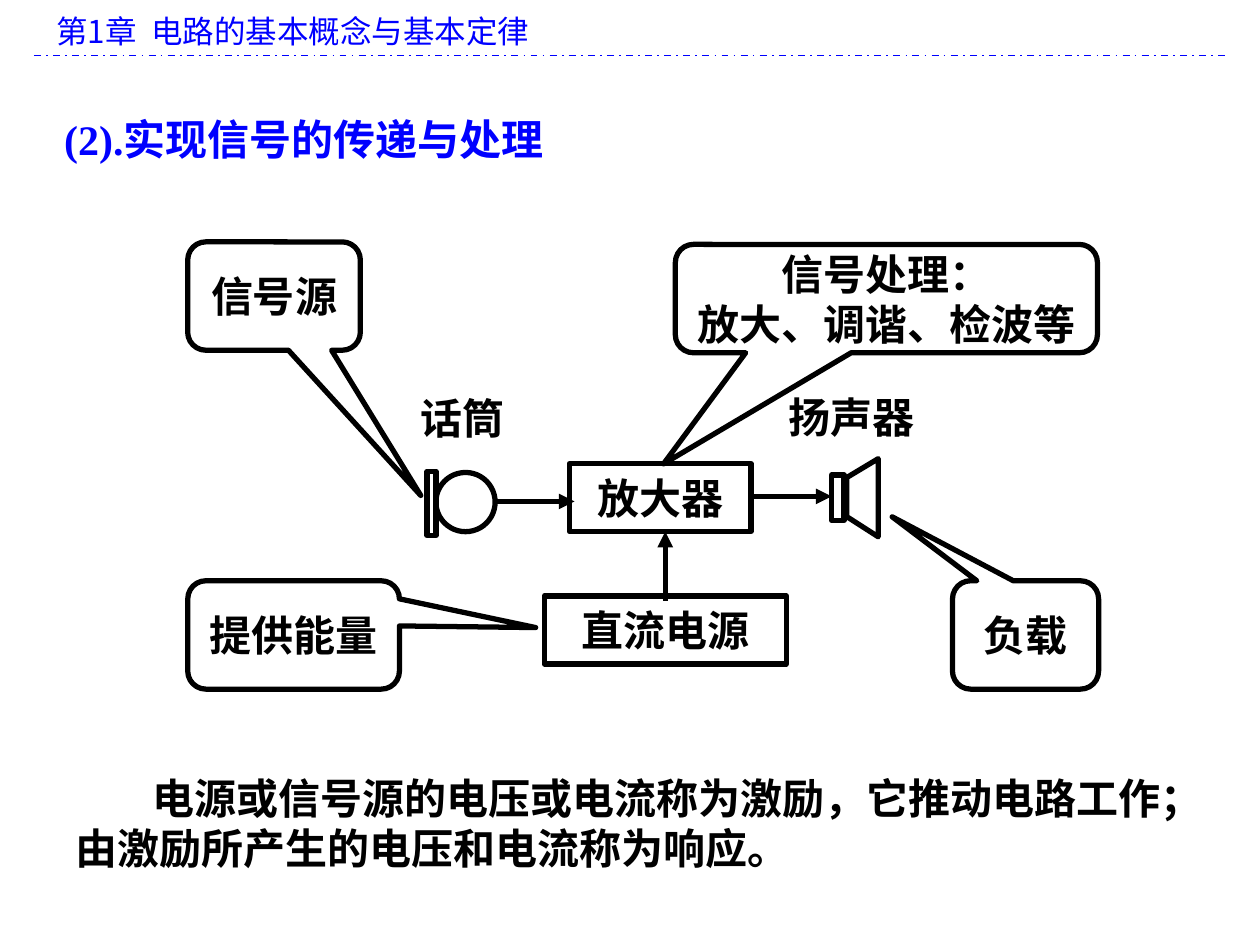
from pptx import Presentation
from pptx.dml.color import RGBColor
from pptx.enum.dml import MSO_LINE
from pptx.enum.shapes import MSO_CONNECTOR, MSO_SHAPE
from pptx.enum.text import MSO_ANCHOR, PP_ALIGN
from pptx.oxml.ns import qn
from pptx.util import Inches, Pt
from lxml.etree import SubElement

# Content
COLORS = {"blue": "0000FF", "black": "000000"}
SERIF, SANS = "Times New Roman", "Noto Sans CJK SC"
CHAPTER = "第1章  电路的基本概念与基本定律"
TITLE = "(2).实现信号的传递与处理"
SUMMARY = "电源或信号源的电压或电流称为激励，它推动电路工作；由激励所产生的电压和电流称为响应。"

# Lines of text, left, top, width, pointer offset as shares of the size
CALLOUTS = [
    (["信号源"], 1.49, 1.92, 1.37, (0.85, 1.841)),
    (["信号处理：", "放大、调谐、检波等"], 5.36, 1.94, 3.35, (-0.528, 1.526)),
    (["提供能量"], 1.49, 4.61, 1.68, (1.144, -0.068)),
    (["负载"], 7.56, 4.61, 1.16, (-0.913, -1.091)),
]
CALLOUT_H, BLOCK_H = 0.86, 0.54
BLOCKS = [("放大器", 4.52, 3.68, 1.44), ("直流电源", 4.32, 4.73, 1.92)]
LABELS = [("扬声器", 6.16, 3.06, 1.44), ("话筒", 3.24, 3.07, 1.12)]
SYMBOLS = [  # microphone capsule and plate, loudspeaker coil
    (MSO_SHAPE.OVAL, 3.46, 3.75, 0.47, 0.47),
    (MSO_SHAPE.RECTANGLE, 3.39, 3.74, 0.07, 0.51),
    (MSO_SHAPE.RECTANGLE, 6.6, 3.77, 0.1, 0.36),
]
HORN = [(6.97, 3.64), (6.72, 3.79), (6.72, 4.1), (6.97, 4.26)]
ARROWS = [(3.92, 3.98, 4.56, 3.98), (5.96, 3.94, 6.6, 3.94),
          (5.28, 4.77, 5.28, 4.22)]

prs = Presentation()
prs.slide_width, prs.slide_height = Inches(10), Inches(7.5)
s = prs.slides.add_slide(prs.slide_layouts[1])


def rgb(name):
    return RGBColor.from_string(COLORS[name])


def write(sp, lines, color="black", size=24, font=SERIF, bold=True,
          align=PP_ALIGN.LEFT, anchor=MSO_ANCHOR.TOP, wrap=True):
    tf = sp.text_frame
    tf.word_wrap, tf.vertical_anchor = wrap, anchor
    for i, line in enumerate(lines):
        p = tf.add_paragraph() if i else tf.paragraphs[0]
        p.alignment, p.space_before = align, Pt(0)
        r = p.add_run()
        r.text = line
        r.font.name, r.font.size, r.font.bold = font, Pt(size), bold
        r.font.color.rgb = rgb(color)


def outline(sp):
    sp.shadow.inherit = False
    sp.fill.background()
    sp.line.color.rgb = rgb("black")
    sp.line.width = Pt(3)
    return sp


def shape(kind, *box):
    return outline(s.shapes.add_shape(kind, *map(Inches, box)))


def connect(ends, color, width):
    c = s.shapes.add_connector(MSO_CONNECTOR.STRAIGHT, *map(Inches, ends))
    c.line.color.rgb = rgb(color)
    c.line.width = Pt(width)
    SubElement(c._element.spPr, qn("a:effectLst"))
    return c


def place(sp, *box):
    sp.left, sp.top, sp.width, sp.height = map(Inches, box)
    return sp


def text_box(*box):
    return s.shapes.add_textbox(*map(Inches, box))


# Chapter header and rule
write(text_box(0.35, 0.05, 9.37, 0.4), [CHAPTER], "blue", 18, SANS, False)
connect((0.27, 0.44, 9.72, 0.44), "blue", 1).line.dash_style = MSO_LINE.DASH_DOT

# Title and summary
write(place(s.shapes.title, 0.41, 0.85, 8.61, 0.5), [TITLE], "blue")
body = place(s.placeholders[1], 0.5, 6.08, 9, 0.9)
write(body, [SUMMARY])
pPr = body.text_frame.paragraphs[0]._p.get_or_add_pPr()
pPr.set("marL", "0")
pPr.set("indent", str(Inches(0.61)))
SubElement(pPr, qn("a:buNone"))

# Circuit blocks, symbols and labels
centred = {"align": PP_ALIGN.CENTER, "anchor": MSO_ANCHOR.MIDDLE}
for symbol in SYMBOLS:
    shape(*symbol)
horn = s.shapes.build_freeform(*map(Inches, HORN[0]), scale=1.0)
horn.add_line_segments([(Inches(x), Inches(y)) for x, y in HORN[1:]], close=True)
outline(horn.convert_to_shape())
for name, x, y, w in BLOCKS:
    write(shape(MSO_SHAPE.RECTANGLE, x, y, w, BLOCK_H), [name], **centred)
for name, x, y, w in LABELS:
    write(text_box(x, y, w, 0.5), [name])

# Signal and supply arrows
for ends in ARROWS:
    ln = connect(ends, "black", 3).line._get_or_add_ln()
    SubElement(ln, qn("a:tailEnd"), type="triangle")

# Callouts
for lines, x, y, w, pointer in CALLOUTS:
    sp = shape(MSO_SHAPE.ROUNDED_RECTANGULAR_CALLOUT, x, y, w, CALLOUT_H)
    for i, value in enumerate((*pointer, 0.167)):
        sp.adjustments[i] = value
    write(sp, lines, wrap=False, **centred)

prs.save("out.pptx")
